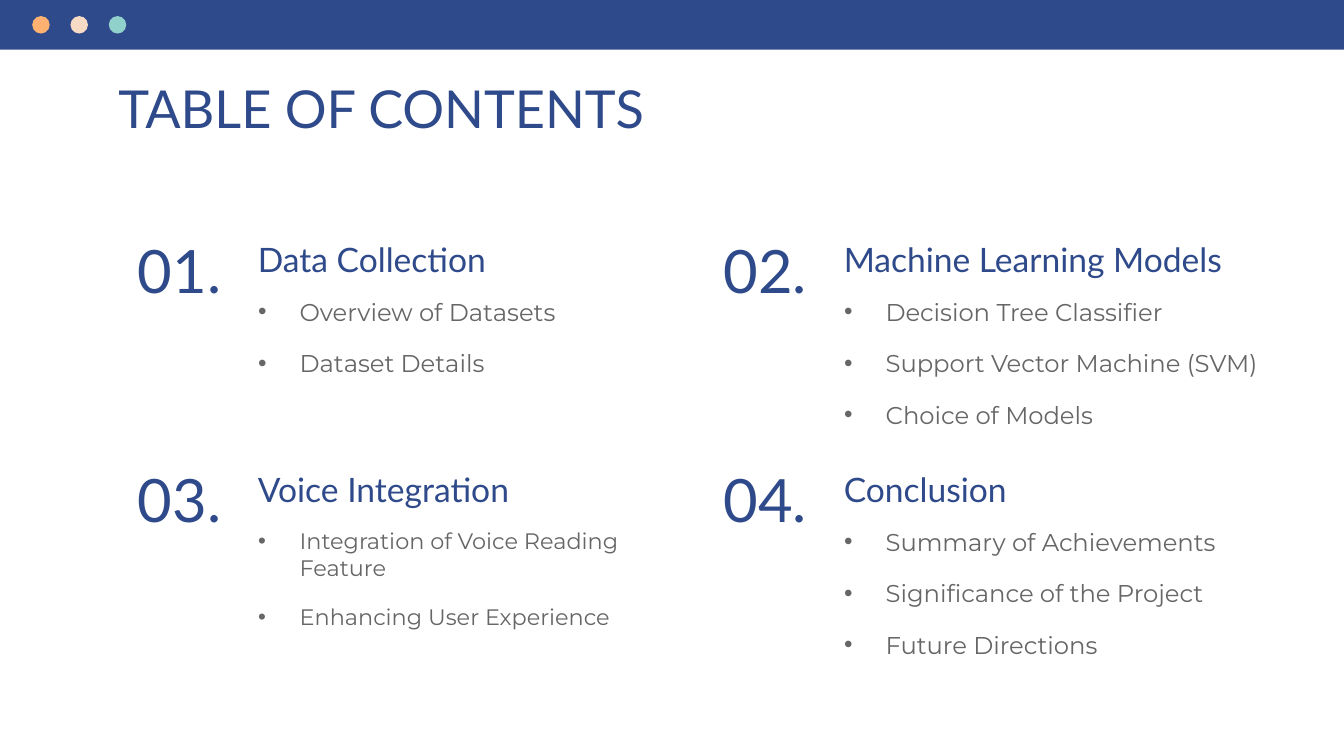
import lxml.etree
import pptx
import pptx.dml.color
import pptx.enum.shapes
import pptx.enum.text
import pptx.oxml.ns
import pptx.util

Inches = pptx.util.Inches
RGBColor = pptx.dml.color.RGBColor
ALIGN = pptx.enum.text.PP_ALIGN
ANCHOR = pptx.enum.text.MSO_ANCHOR
SHAPE = pptx.enum.shapes.MSO_SHAPE

NAVY = RGBColor(0x2F, 0x4A, 0x8A)
GREY = RGBColor(0x66, 0x66, 0x66)
ORANGE = RGBColor(0xFF, 0xB1, 0x72)
CREAM = RGBColor(0xF8, 0xDB, 0xC4)
TEAL = RGBColor(0x90, 0xD1, 0xCB)

# Grid of sections
LEFT, COLUMN = 0.84, 4.36
TOP, ROW = 1.68, 1.71
NUMBER_WIDTH = 0.98


def write(box, text, at, size, font="Lato", color=NAVY, align=ALIGN.LEFT,
          anchor=ANCHOR.TOP, after=0, bullet=False):
    """Place a box and fill it with one paragraph per line of text."""
    box.left, box.top, box.width, box.height = [Inches(n) for n in at]
    frame = box.text_frame
    frame.text = text
    frame.word_wrap = True
    frame.auto_size = pptx.enum.text.MSO_AUTO_SIZE.NONE
    frame.vertical_anchor = anchor
    frame.margin_left = frame.margin_right = Inches(0.1)
    frame.margin_top = frame.margin_bottom = Inches(0.1)
    for para in frame.paragraphs:
        para.alignment = align
        para.line_spacing = 1.0
        para.space_before = pptx.util.Pt(0)
        para.space_after = pptx.util.Pt(after)
        span = para.runs[0]
        span.font.name = font
        span.font.size = pptx.util.Pt(size)
        span.font.bold = False
        span.font.color.rgb = color
        if bullet:
            qn = pptx.oxml.ns.qn
            props = para._p.get_or_add_pPr()
            props.set("marL", str(Inches(0.31)))
            props.set("indent", str(Inches(-0.31)))
            tint = lxml.etree.SubElement(props, qn("a:buClr"))
            lxml.etree.SubElement(tint, qn("a:srgbClr"), val=str(color))
            lxml.etree.SubElement(props, qn("a:buFont"), typeface="Arial")
            lxml.etree.SubElement(props, qn("a:buChar"), char="•")


def add_solid(shapes, kind, at, color):
    """Add a plain filled shape."""
    shape = shapes.add_shape(kind, *[Inches(n) for n in at])
    shape.shadow.inherit = False
    shape.fill.solid()
    shape.fill.fore_color.rgb = color
    shape.line.fill.background()


# Page, 16:9: the comparison layout has a title and four body placeholders
deck = pptx.Presentation()
deck.slide_width = Inches(10)
deck.slide_height = deck.slide_width * 9 // 16
page = deck.slides.add_slide(deck.slide_layouts[4])
title, *bodies = page.placeholders

write(title, "TABLE OF CONTENTS", (0.78, 0.47, 8.44, 0.51), 28)

# Sections: heading, heading width, list, list width, list height, list size
sections = [
    ("Data Collection", 2.92,
     ["Overview of Datasets", "Dataset Details"], 2.49, 0.64, 13),
    ("Machine Learning Models", 3.4,
     ["Decision Tree Classifier", "Support Vector Machine (SVM)",
      "Choice of Models"], 3.82, 0.64, 13),
    ("Voice Integration", 2.92,
     ["Integration of Voice Reading Feature",
      "Enhancing User Experience"], 3.55, 0.83, 12),
    ("Conclusion", 2.98,
     ["Summary of Achievements", "Significance of the Project",
      "Future Directions"], 3.78, 0.64, 13),
]
for index, (heading, width, items, list_width, list_height, size) in enumerate(sections):
    row, column = divmod(index, 2)
    left, top = LEFT + column * COLUMN, TOP + row * ROW
    text_left = left + NUMBER_WIDTH
    write(page.shapes.add_textbox(0, 0, 0, 0), heading,
          (text_left, top, width, 0.51), 18)
    write(page.shapes.add_textbox(0, 0, 0, 0), f"{index + 1:02}.",
          (left, top + 0.05, 0.99, 0.64), 32,
          align=ALIGN.CENTER, anchor=ANCHOR.BOTTOM)
    write(bodies[index], "\n".join(items),
          (text_left, top + 0.43, list_width, list_height), size,
          font="Montserrat", color=GREY, after=12, bullet=True)

# Window bar with three dots
bar = page.shapes.add_group_shape()
add_solid(bar.shapes, SHAPE.RECTANGLE, (0, 0, 10, 0.37), NAVY)
for index, color in enumerate([ORANGE, CREAM, TEAL]):
    add_solid(bar.shapes, SHAPE.OVAL, (0.24 + index * 0.285, 0.12, 0.13, 0.13), color)

deck.save("out.pptx")
